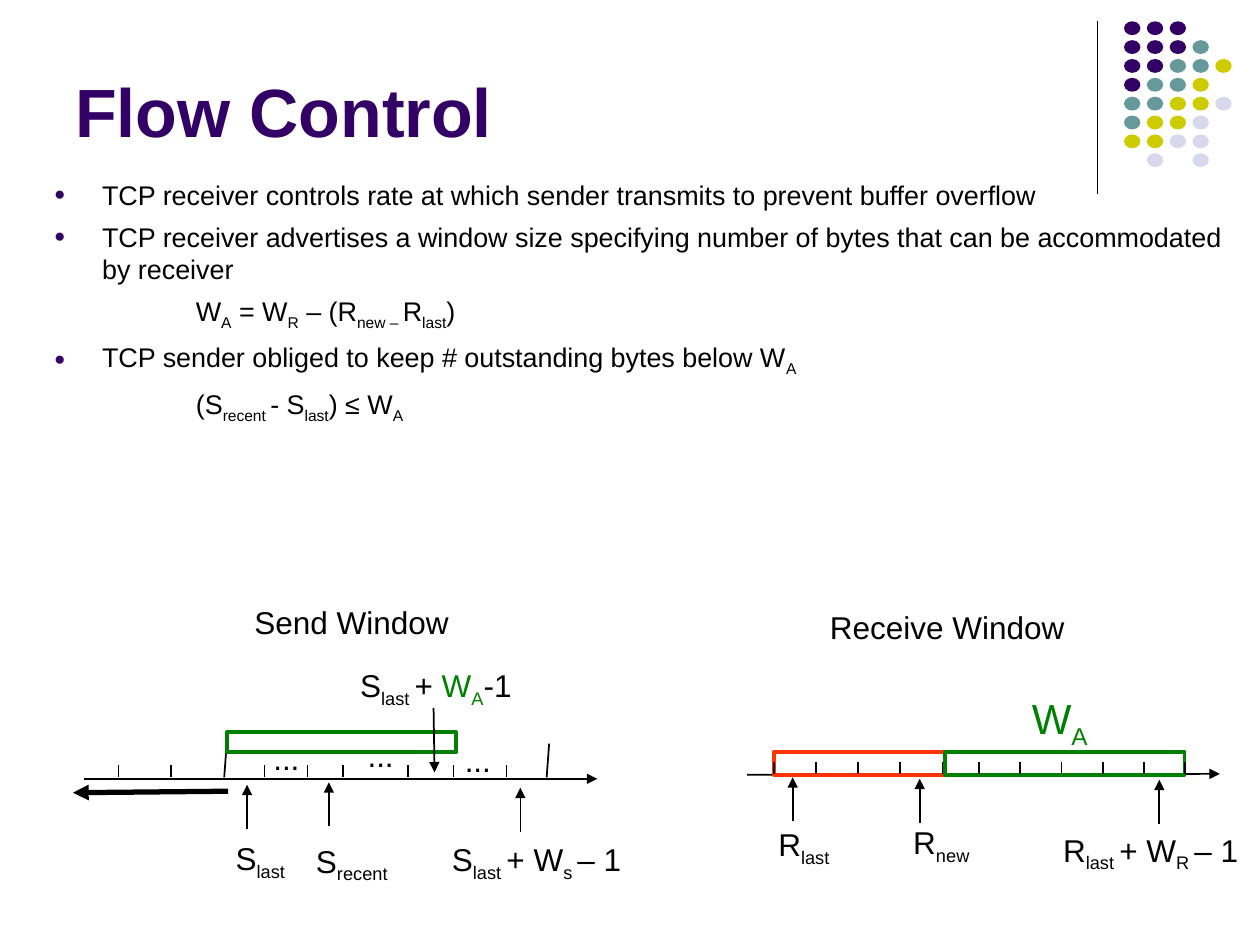
from lxml import etree
from pptx import Presentation
from pptx.dml.color import RGBColor
from pptx.enum.shapes import MSO_CONNECTOR as Link, MSO_SHAPE as Preset
from pptx.enum.text import MSO_ANCHOR as Anchor, MSO_AUTO_SIZE as Fit, PP_ALIGN as Align
from pptx.oxml.ns import qn
from pptx.util import Cm, Pt

PURPLE, BLACK, GREEN, RED = "330066", "000000", "008000", "FF3300"
DOT_COLOURS = {"P": PURPLE, "T": "669999", "Y": "CCCC00", "L": "D8D8EC"}
DOT_ROWS = ["PPP", "PPPT", "PPTTY", "PTTY", "TTYYL", "TYYL", "YYLL", " L L"]


def colour(code):
    return RGBColor.from_string(code)


def write(paragraph, text, size=18, code=BLACK, bold=False, align=Align.LEFT):
    """Add text to a paragraph; parts between tildes are subscripts."""
    paragraph.alignment = align
    for index, part in enumerate(text.split("~")):
        if not part:
            continue
        run = paragraph.add_run()
        run.text = part
        font = run.font
        font.name, font.size, font.bold = "Arial", Pt(size), bold
        font.color.rgb = colour(code)
        if index % 2:
            run._r.get_or_add_rPr().set("baseline", "-25000")


class Sketch:
    def __init__(self, slide, thin=1, frame=2.25):
        self.slide, self.thin, self.frame = slide, thin, frame

    def box(self, left, top, width, height, wrap=False, anchor=Anchor.TOP):
        area = self.slide.shapes.add_textbox(Cm(left), Cm(top), Cm(width), Cm(height))
        area.text_frame.word_wrap = wrap
        area.text_frame.vertical_anchor = anchor
        area.text_frame.auto_size = Fit.NONE if wrap else Fit.SHAPE_TO_FIT_TEXT
        return area.text_frame

    def label(self, left, top, width, height, text, **style):
        paragraph = self.box(left, top, width, height).paragraphs[0]
        write(paragraph, text, **style)
        return paragraph

    def points(self, left, top, width, height, entries):
        frame = self.box(left, top, width, height, wrap=True)
        for index, (text, bulleted) in enumerate(entries):
            paragraph = frame.add_paragraph() if index else frame.paragraphs[0]
            if index:
                paragraph.space_before = Pt(5.5)
            props = paragraph._p.get_or_add_pPr()
            if bulleted:
                props.set("marL", str(Cm(0.97)))
                props.set("indent", str(-Cm(0.97)))
                tint = etree.SubElement(props, qn("a:buClr"))
                etree.SubElement(tint, qn("a:srgbClr"), val=PURPLE)
                etree.SubElement(props, qn("a:buSzPct"), val="70000")
                etree.SubElement(props, qn("a:buFont"), typeface="Arial")
                etree.SubElement(props, qn("a:buChar"), char="●")
            else:
                props.set("marL", str(Cm(2.86)))
            write(paragraph, text, size=15.4)

    def line(self, x1, y1, x2, y2, weight=None, arrow=False):
        link = self.slide.shapes.add_connector(Link.STRAIGHT, Cm(x1), Cm(y1), Cm(x2), Cm(y2))
        link.line.color.rgb = colour(BLACK)
        link.line.width = Pt(weight or self.thin)
        props = link._element.spPr
        if arrow:
            etree.SubElement(props.find(qn("a:ln")), qn("a:tailEnd"), type="triangle")
        etree.SubElement(props, qn("a:effectLst"))

    def ticks(self, positions, top=15.36):
        for x in positions:
            self.line(x, top, x, top + 0.25)

    def pointer(self, x, tip):
        self.line(x, tip + 0.89, x, tip, arrow=True)

    def window(self, left, top, width, height, code):
        shape = self.slide.shapes.add_shape(
            Preset.RECTANGLE, Cm(left), Cm(top), Cm(width), Cm(height))
        shape.shadow.inherit = False
        shape.fill.background()
        shape.line.color.rgb = colour(code)
        shape.line.width = Pt(self.frame)

    def dot(self, left, top, code):
        shape = self.slide.shapes.add_shape(
            Preset.OVAL, Cm(left), Cm(top), Cm(0.33), Cm(0.28))
        shape.shadow.inherit = False
        shape.fill.solid()
        shape.fill.fore_color.rgb = colour(code)
        shape.line.fill.background()


def draw_heading(sketch):
    sketch.line(22.12, 0.43, 22.12, 3.91, weight=0.75)
    for row, codes in enumerate(DOT_ROWS):
        for column, key in enumerate(codes):
            if key in DOT_COLOURS:
                sketch.dot(22.66 + 0.46 * column, 0.43 + 0.38 * row, DOT_COLOURS[key])
    title = sketch.box(1.27, 0.33, 20.96, 2.84, wrap=True, anchor=Anchor.BOTTOM)
    write(title.paragraphs[0], "Flow Control", size=39, code=PURPLE, bold=True)
    sketch.points(0.84, 3.47, 24.1, 5.21, [
        ("TCP receiver controls rate at which sender transmits to prevent buffer overflow", True),
        ("TCP receiver advertises a window size specifying number of bytes "
         "that can be accommodated by receiver", True),
        ("W~A~ = W~R~ – (R~new – ~R~last~)", False),
        ("TCP sender obliged to keep # outstanding bytes below W~A~", True),
        ("(S~recent ~- S~last~) ≤ W~A~", False),
    ])


def draw_receive_window(sketch):
    sketch.label(16.48, 12.14, 5.25, 1.02, "Receive Window")
    sketch.line(15.06, 15.62, 24.59, 15.6, arrow=True)
    sketch.window(15.6, 15.16, 3.45, 0.46, RED)
    sketch.window(19.05, 15.16, 4.83, 0.46, GREEN)
    sketch.ticks(15.6 + 0.85 * step for step in range(5))
    sketch.ticks(19.74 + 0.83 * step for step in range(6))
    sketch.label(20.55, 13.84, 1.63, 1.42, "W~A~", size=24, code=GREEN, align=Align.CENTER)
    for x, tip in [(15.98, 15.67), (18.54, 15.7), (23.37, 15.72)]:
        sketch.pointer(x, tip)
    sketch.label(15.44, 16.51, 1.7, 1.12, "R~last~")
    sketch.label(18.16, 16.46, 1.7, 1.12, "R~new~")
    sketch.label(21.18, 16.62, 4.22, 1.12, "R~last ~+ W~R ~– 1")


def draw_send_window(sketch):
    sketch.label(4.88, 12.04, 4.42, 1.02, "Send Window")
    sketch.line(1.7, 15.7, 12.04, 15.7, arrow=True)
    sketch.ticks([2.39, 3.45, 5.33, 6.2, 6.91, 8.23, 9.14, 10.21], top=15.42)
    for edge in (4.57, 11.07):
        sketch.line(edge, 14.99, edge - 0.05, 15.67)
    for left, top in [(5.26, 14.78), (7.16, 14.71), (9.12, 14.81)]:
        sketch.label(left, top, 1.04, 1.02, "...")
    sketch.window(4.57, 14.76, 4.62, 0.41, GREEN)
    sketch.line(4.6, 15.95, 1.47, 15.98, weight=3, arrow=True)
    sketch.line(8.74, 14.27, 8.76, 15.57, arrow=True)
    limit = sketch.label(7.01, 13.31, 3.6, 1.12, "S~last ~+ ")
    write(limit, "W~A~", code=GREEN)
    write(limit, "-1")
    for x, tip in [(4.98, 15.82), (6.63, 15.77), (10.49, 15.88)]:
        sketch.pointer(x, tip)
    sketch.label(4.5, 16.79, 1.55, 1.12, "S~last~")
    sketch.label(6.12, 16.84, 2, 1.12, "S~recent~")
    sketch.label(8.86, 16.81, 4.12, 1.12, "S~last ~+ W~s ~– 1")


def main():
    deck = Presentation()
    deck.slide_width, deck.slide_height = Cm(25.4), Cm(19.05)
    sketch = Sketch(deck.slides.add_slide(deck.slide_layouts[6]))
    draw_heading(sketch)
    draw_receive_window(sketch)
    draw_send_window(sketch)
    deck.save("out.pptx")


if __name__ == "__main__":
    main()
